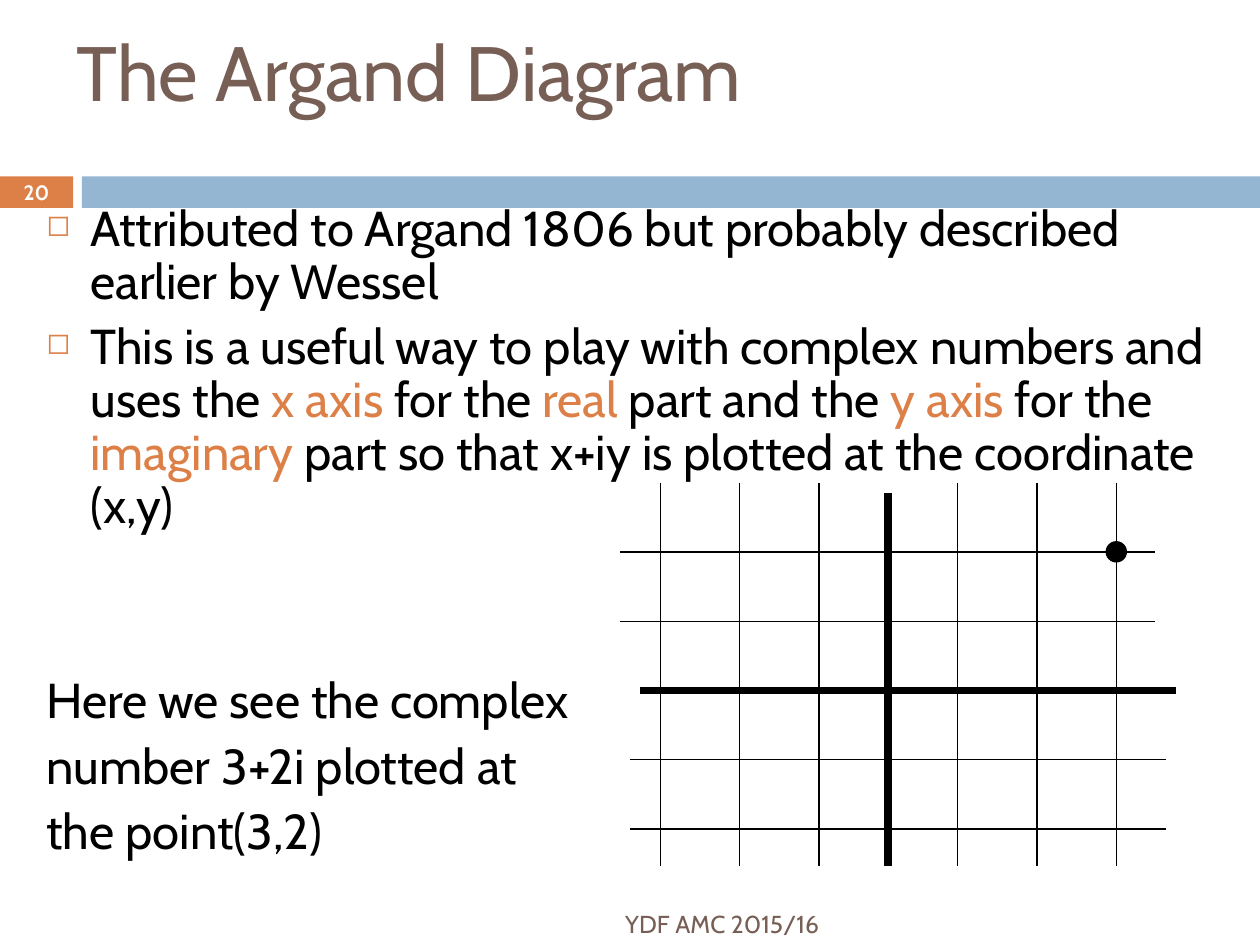
import pptx
import pptx.util
import pptx.dml.color
import pptx.enum.shapes
import pptx.enum.text
import pptx.oxml.ns
from lxml import etree

FONT = "Cabin"
COLORS = {"brown": "775F55", "orange": "DD8047", "blue": "94B6D2",
          "black": "000000", "white": "FFFFFF"}
ALIGN = pptx.enum.text.PP_ALIGN
ANCHOR = pptx.enum.text.MSO_ANCHOR
SHAPE = pptx.enum.shapes.MSO_SHAPE
Inches = pptx.util.Inches
Pt = pptx.util.Pt

TITLE = "The Argand Diagram"
FOOTER = "YDF AMC 2015/16"
PAGE_NUMBER = "20"
# Each paragraph alternates black and orange runs, starting with black.
BULLETS = [
    ["Attributed to Argand 1806 but probably described earlier by Wessel"],
    ["This is a useful way to play with complex numbers and uses the ", "x axis",
     " for the ", "real", " part and the ", "y axis", " for the ", "imaginary",
     " part so that x+iy is plotted at the coordinate (x,y)"],
]
CAPTION = ["Here we see the complex", "number 3+2i plotted at", "the point(3,2)"]
POINT = (3, 2)

BODY_SIZE, SPACE_BEFORE, CAPTION_GAP = 28, 7, 81.6
HANGING = 0.35
ORIGIN_X, ORIGIN_Y = 7.05, 5.48
FIRST_COLUMN, COLUMN, ROW = 0.55, 0.63, 0.55
GRID_TOP, GRID_BOTTOM, AXIS_TOP = 3.83, 6.87, 3.91
ROW_LENGTH = 4.25
ROW_LEFT = {2: 4.92, 1: 4.92, 0: 5.08, -1: 5, -2: 5}
DOT = 0.16
THIN, THICK = 0.75, 4.5


def rgb(name):
    return pptx.dml.color.RGBColor.from_string(COLORS[name])


def style(run, size, color, bold=False):
    run.font.name, run.font.size, run.font.bold = FONT, Pt(size), bold
    run.font.color.rgb = rgb(color)


def add_filled(slide, kind, box, color):
    shape = slide.shapes.add_shape(kind, *map(Inches, box))
    shape.shadow.inherit = False
    shape.fill.solid()
    shape.fill.fore_color.rgb = rgb(color)
    shape.line.fill.background()
    return shape


def add_text_frame(slide, box, anchor=ANCHOR.MIDDLE):
    frame = slide.shapes.add_textbox(*map(Inches, box)).text_frame
    frame.word_wrap = True
    frame.vertical_anchor = anchor
    return frame


def add_label(slide, box, text, size, color, align=ALIGN.LEFT, bold=False):
    paragraph = add_text_frame(slide, box).paragraphs[0]
    paragraph.text = text
    paragraph.alignment = align
    style(paragraph.runs[0], size, color, bold)


def set_hanging(paragraph, bullet):
    """Give the paragraph a hanging indent and, if asked, a square bullet."""
    properties = paragraph._p.get_or_add_pPr()
    properties.set("marL", str(Inches(HANGING)))
    properties.set("indent", str(-Inches(HANGING)))

    def add(parent, tag, **attributes):
        return etree.SubElement(parent, pptx.oxml.ns.qn(tag), **attributes)

    if bullet:
        add(add(properties, "a:buClr"), "a:srgbClr", val=COLORS["orange"])
        add(properties, "a:buSzPct", val="60000")
        add(properties, "a:buChar", char="◻")
    else:
        add(properties, "a:buNone")


def add_body(slide):
    frame = add_text_frame(slide, (0.27, 1.57, 9.73, 5.44), ANCHOR.TOP)
    for index, runs in enumerate(BULLETS + [[line] for line in CAPTION]):
        paragraph = frame.paragraphs[0] if index == 0 else frame.add_paragraph()
        starts_caption = index == len(BULLETS)
        paragraph.line_spacing = 0.9
        paragraph.space_before = Pt(CAPTION_GAP if starts_caption else SPACE_BEFORE)
        set_hanging(paragraph, bullet=index < len(BULLETS))
        for position, text in enumerate(runs):
            run = paragraph.add_run()
            run.text = text
            style(run, BODY_SIZE, "orange" if position % 2 else "black")


def add_line(group, start, end, width):
    line = group.shapes.add_connector(
        pptx.enum.shapes.MSO_CONNECTOR.STRAIGHT, *map(Inches, start + end))
    line.line.color.rgb = rgb("black")
    line.line.width = Pt(width)
    etree.SubElement(line._element.spPr, pptx.oxml.ns.qn("a:effectLst"))


def column_x(value):
    """The columns beside the imaginary axis are narrower than the others."""
    if value == 0:
        return ORIGIN_X
    offset = FIRST_COLUMN + (abs(value) - 1) * COLUMN
    return ORIGIN_X + (offset if value > 0 else -offset)


def row_y(value):
    return ORIGIN_Y - value * ROW


def add_argand_diagram(slide):
    x, y = column_x(POINT[0]), row_y(POINT[1])
    dot = add_filled(slide, SHAPE.OVAL, (x - DOT / 2, y - DOT / 2, DOT, DOT), "black")
    dot.line.color.rgb = rgb("black")
    dot.line.width = Pt(THIN)

    group = slide.shapes.add_group_shape()
    for value in range(-3, 4):
        x = column_x(value)
        top = GRID_TOP if value else AXIS_TOP
        add_line(group, (x, top), (x, GRID_BOTTOM), THIN if value else THICK)
    for value, left in ROW_LEFT.items():
        y = row_y(value)
        add_line(group, (left, y), (left + ROW_LENGTH, y), THIN if value else THICK)


def main():
    presentation = pptx.Presentation()
    presentation.slide_width, presentation.slide_height = Inches(10), Inches(7.5)
    slide = presentation.slides.add_slide(presentation.slide_layouts[6])
    add_filled(slide, SHAPE.RECTANGLE, (0, 1.4, 0.58, 0.25), "orange")
    add_filled(slide, SHAPE.RECTANGLE, (0.65, 1.4, 9.35, 0.25), "blue")
    add_label(slide, (0.51, 0.13, 9, 0.87), TITLE, 44, "brown")
    add_label(slide, (0.67, 7.13, 5.93, 0.4), FOOTER, 14, "brown", ALIGN.RIGHT)
    add_label(slide, (0, 1.39, 0.58, 0.27), PAGE_NUMBER, 11.9, "white",
              ALIGN.CENTER, bold=True)
    add_body(slide)
    add_argand_diagram(slide)
    presentation.save("out.pptx")


if __name__ == "__main__":
    main()
